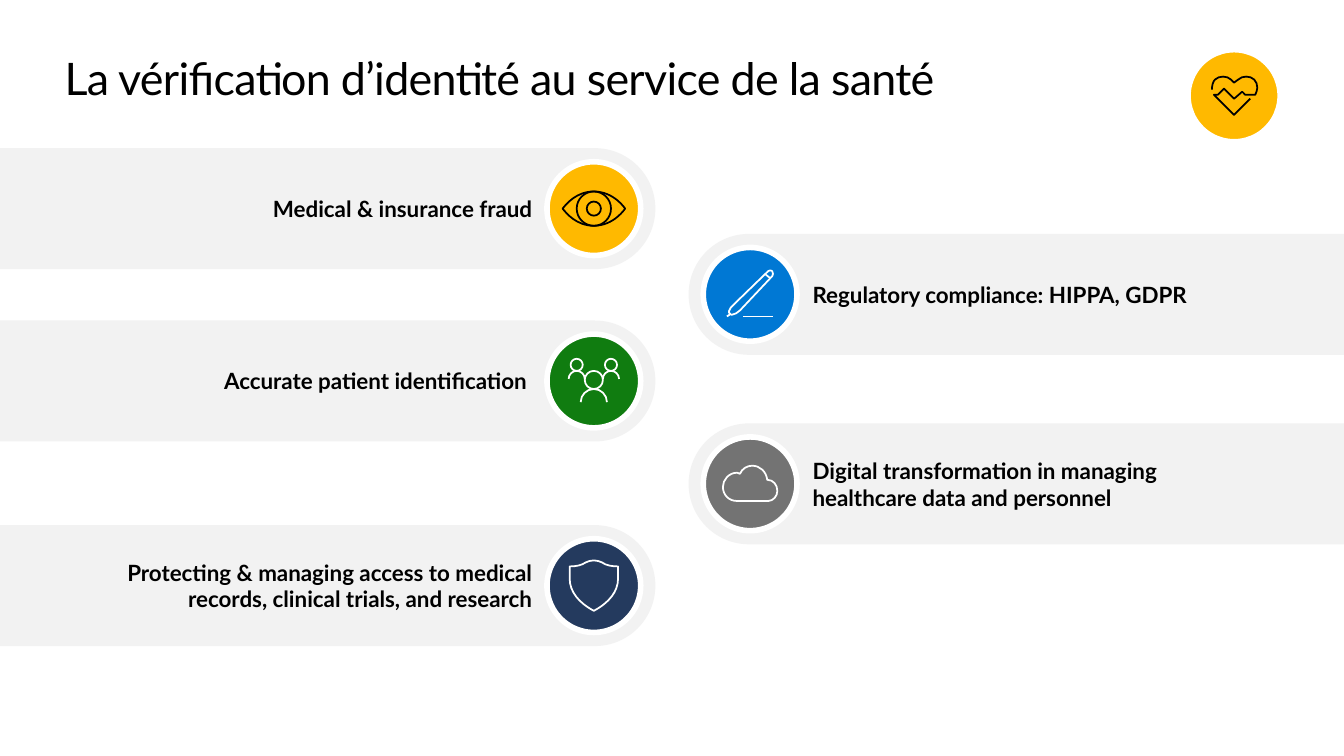
import dataclasses

import pptx
import pptx.dml.color
import pptx.enum.shapes
import pptx.enum.text
import pptx.oxml.ns
import pptx.oxml.xmlchemy
import pptx.util

Inches = pptx.util.Inches
Shapes = pptx.enum.shapes.MSO_SHAPE
Align = pptx.enum.text.PP_ALIGN
qn = pptx.oxml.ns.qn


@dataclasses.dataclass(frozen=True)
class Theme:
    """Colours, font and type sizes of the slide."""
    font: str = "Lato"
    title_size: int = 32
    label_size: int = 16
    icon_line: float = 1.25
    ink: str = "000000"
    white: str = "FFFFFF"
    band: str = "F2F2F2"
    yellow: str = "FFB900"
    blue: str = "0078D4"
    green: str = "107C10"
    grey: str = "737373"
    navy: str = "243A5E"


THEME = Theme()
LEFT_BADGE_X, RIGHT_BADGE_X = 5.89, 7.44
LEFT_BAND_X, RIGHT_BAND_X = 3.25, 10.08
BAND_LENGTH, BAND_HEIGHT = 6.5, 1.2
LABEL_HEIGHT = 0.6


def rgb(code):
    """Turn a hex code into a colour."""
    return pptx.dml.color.RGBColor.from_string(code)


def dome(x, y, r):
    """Give the upper half of a circle as a stroke."""
    k = 0.55 * r
    return [(x - r, y), (x - r, y - k, x - k, y - r, x, y - r),
            (x + k, y - r, x + r, y - k, x + r, y)]


def circle(x, y, r):
    """Give a closed circle as a stroke."""
    k = 0.55 * r
    return dome(x, y, r) + [(x + r, y + k, x + k, y + r, x, y + r),
                            (x - k, y + r, x - r, y + k, x - r, y)]


EYE = [
    [(-0.31, 0), (-0.27, -0.05, -0.17, -0.17, 0, -0.17),
     (0.2, -0.17, 0.31, 0, 0.31, 0), (0.31, 0, 0.2, 0.17, 0, 0.17),
     (-0.17, 0.17, -0.27, 0.05, -0.31, 0)],
    circle(0, 0, 0.17),
    circle(0, 0, 0.07),
]
PEOPLE = [circle(0, -0.01, 0.09), dome(0, 0.21, 0.13)]
for side in (-0.17, 0.17):
    PEOPLE += [circle(side, -0.16, 0.06), dome(side, -0.02, 0.08)]
PEN = [
    [(0.22, -0.18), (0.23, -0.19, 0.23, -0.21, 0.22, -0.23),
     (0.21, -0.24, 0.19, -0.24, 0.18, -0.23), (-0.16, 0.1),
     (-0.17, 0.11, -0.18, 0.12, -0.19, 0.13), (-0.21, 0.17), (-0.21, 0.18),
     (-0.19, 0.2), (-0.19, 0.2, -0.18, 0.21, -0.17, 0.2), (-0.14, 0.19),
     (-0.13, 0.18, -0.11, 0.17, -0.1, 0.16), (0.22, -0.18)],
    [(0.15, -0.2), (0.2, -0.16)],
    [(-0.23, 0.22), (-0.2, 0.2)],
    [(-0.07, 0.22), (0.23, 0.22)],
]
CLOUD = [
    [(0.18, 0.17), (-0.13, 0.17), (-0.21, 0.17, -0.27, 0.11, -0.27, 0.03),
     (-0.27, -0.04, -0.21, -0.11, -0.13, -0.11),
     (-0.12, -0.11, -0.11, -0.11, -0.1, -0.1),
     (-0.08, -0.15, -0.03, -0.18, 0.02, -0.18),
     (0.1, -0.18, 0.16, -0.12, 0.17, -0.04),
     (0.23, -0.04, 0.27, 0.01, 0.27, 0.07),
     (0.27, 0.12, 0.23, 0.17, 0.18, 0.17)],
]
SHIELD = [
    [(0.24, -0.07), (0.24, 0.06, 0.15, 0.17, 0, 0.25),
     (-0.15, 0.17, -0.24, 0.06, -0.24, -0.07), (-0.24, -0.19),
     (-0.18, -0.19, -0.12, -0.2, -0.08, -0.23),
     (-0.06, -0.24, -0.03, -0.25, 0, -0.25),
     (0.03, -0.25, 0.06, -0.24, 0.08, -0.23),
     (0.12, -0.2, 0.18, -0.19, 0.24, -0.19), (0.24, -0.07)],
]
HEART = [
    [(-0.22, -0.06), (-0.22, -0.1, -0.21, -0.14, -0.19, -0.16),
     (-0.17, -0.18, -0.14, -0.19, -0.11, -0.19),
     (-0.08, -0.19, -0.05, -0.18, -0.03, -0.16), (0, -0.13), (0.04, -0.16),
     (0.06, -0.18, 0.09, -0.19, 0.12, -0.19),
     (0.15, -0.19, 0.18, -0.18, 0.2, -0.16),
     (0.22, -0.14, 0.23, -0.11, 0.23, -0.08),
     (0.23, -0.06, 0.22, -0.03, 0.21, -0.01), (0.11, -0.01), (0.08, -0.04),
     (0, 0.03), (-0.1, -0.07), (-0.16, -0.01), (-0.2, -0.01), (0, 0.19),
     (0.16, 0.03)],
]


def add_text(slide, text, box, size, align=Align.LEFT, bold=False, middle=False):
    """Add a wrapped text box without margins and return its paragraph."""
    frame = slide.shapes.add_textbox(*map(Inches, box)).text_frame
    frame.word_wrap = True
    frame.margin_left = frame.margin_right = frame.margin_top = frame.margin_bottom = 0
    if middle:
        frame.vertical_anchor = pptx.enum.text.MSO_ANCHOR.MIDDLE
    paragraph = frame.paragraphs[0]
    paragraph.text = text
    paragraph.alignment = align
    font = paragraph.font
    font.name, font.size, font.bold = THEME.font, pptx.util.Pt(size), bold
    font.color.rgb = rgb(THEME.ink)
    return paragraph


def add_band(slide, x, y, rotation):
    """Add a grey band, centred on a point, with one round end."""
    band = slide.shapes.add_shape(
        Shapes.ROUND_2_SAME_RECTANGLE, Inches(x - BAND_HEIGHT / 2),
        Inches(y - BAND_LENGTH / 2), Inches(BAND_HEIGHT), Inches(BAND_LENGTH))
    band.rotation = rotation
    band.adjustments[0], band.adjustments[1] = 0.5, 0
    band.shadow.inherit = False
    band.fill.solid()
    band.fill.fore_color.rgb = rgb(THEME.band)
    band.line.fill.background()


def bend(icon, strokes):
    """Join the three points of each six-number step into one Bézier curve."""
    corners = iter(list(icon._element.iter(qn("a:lnTo"))))
    for step in (step for stroke in strokes for step in stroke[1:]):
        first = next(corners)
        if len(step) == 6:
            curve = pptx.oxml.xmlchemy.OxmlElement("a:cubicBezTo")
            first.addprevious(curve)
            for corner in (first, next(corners), next(corners)):
                curve.append(corner[0])
                corner.getparent().remove(corner)


def add_icon(slide, strokes, x, y, color):
    """Draw the strokes of an icon around a centre; two numbers are a corner."""
    builder = None
    for stroke in strokes:
        start, *rest = [(Inches(x + dx), Inches(y + dy)) for step in stroke
                        for dx, dy in zip(step[::2], step[1::2])]
        if builder is None:
            builder = slide.shapes.build_freeform(*start)
        else:
            builder.move_to(*start)
        builder.add_line_segments(rest, close=start == rest[-1])
    icon = builder.convert_to_shape()
    bend(icon, strokes)
    icon.shadow.inherit = False
    icon.fill.background()
    icon.line.color.rgb = rgb(color)
    icon.line.width = pptx.util.Pt(THEME.icon_line)


def add_badge(slide, x, y, fill, strokes, ink, diameter=0.93, ring=4):
    """Add a round badge with a white ring and an icon."""
    badge = slide.shapes.add_shape(
        Shapes.OVAL, Inches(x - diameter / 2), Inches(y - diameter / 2),
        Inches(diameter), Inches(diameter))
    badge.shadow.inherit = False
    badge.fill.solid()
    badge.fill.fore_color.rgb = rgb(fill)
    badge.line.color.rgb = rgb(THEME.white)
    badge.line.width = pptx.util.Pt(ring)
    add_icon(slide, strokes, x, y, ink)


def add_topic(slide, on_left, y, text, width, fill, strokes, ink=THEME.white):
    """Add a band with its label and badge on one side of the slide."""
    if on_left:
        band_x, rotation, badge_x = LEFT_BAND_X, 90, LEFT_BADGE_X
        label_x, align = 5.28 - width, Align.RIGHT
    else:
        band_x, rotation, badge_x = RIGHT_BAND_X, 270, RIGHT_BADGE_X
        label_x, align = 8.06, Align.LEFT
    add_band(slide, band_x, y, rotation)
    add_text(slide, text, (label_x, y - LABEL_HEIGHT / 2, width, LABEL_HEIGHT),
             THEME.label_size, align, bold=True, middle=True)
    add_badge(slide, badge_x, y, fill, strokes, ink)


def main():
    """Build the slide and save it."""
    deck = pptx.Presentation()
    deck.slide_width, deck.slide_height = Inches(13.33), Inches(7.5)
    slide = deck.slides.add_slide(deck.slide_layouts[6])
    title = add_text(slide, "La vérification d’identité au service de la santé",
                     (0.64, 0.5, 12.05, 0.54), THEME.title_size)
    title.runs[0]._r.get_or_add_rPr().set("spc", "-50")
    add_badge(slide, 12.24, 0.95, THEME.yellow, HEART, THEME.ink, diameter=0.9, ring=3)
    topics = [
        (True, 2.07, "Medical & insurance fraud", 2.84, THEME.yellow, EYE, THEME.ink),
        (False, 2.92, "Regulatory compliance: HIPPA, GDPR", 3.96, THEME.blue, PEN),
        (True, 3.78, "Accurate patient identification ", 3.71, THEME.green, PEOPLE),
        (False, 4.8, "Digital transformation in managing healthcare data and personnel",
         3.9, THEME.grey, CLOUD),
        (True, 5.81, "Protecting & managing access to medical records, "
         "clinical trials, and research", 4.47, THEME.navy, SHIELD),
    ]
    for topic in topics:
        add_topic(slide, *topic)
    deck.save("out.pptx")


if __name__ == "__main__":
    main()
